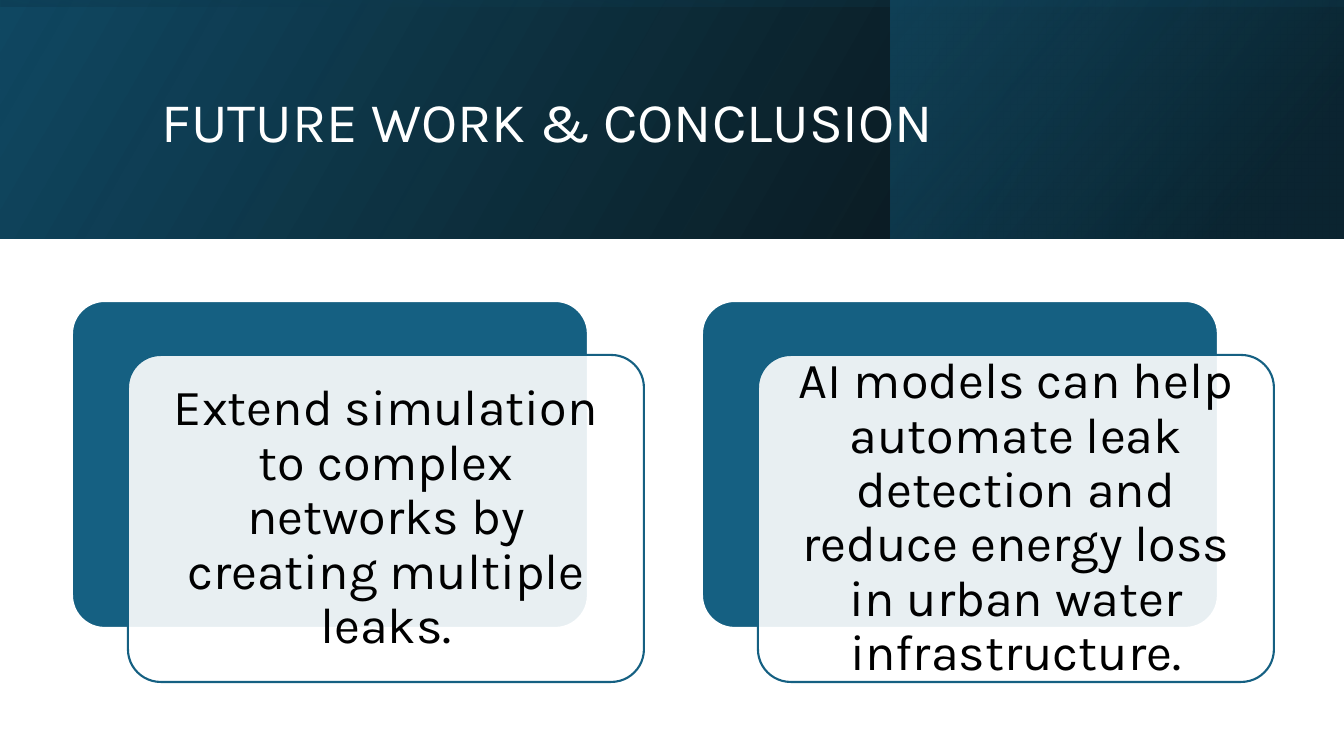
import pptx
import pptx.util
import pptx.dml.color
import pptx.enum.shapes
import pptx.enum.text
import pptx.oxml
import pptx.oxml.ns

HUES = {"white": "FFFFFF", "black": "000000", "teal": "156082",
        "deep": "104862", "night": "0B3041"}
FONT = "Karla"
TITLE = "FUTURE WORK & CONCLUSION"
CARDS = [
    "Extend simulation to complex networks by creating multiple leaks.",
    "AI models can help automate leak detection and reduce energy loss in urban water infrastructure.",
]
WIDE, HIGH, BAND = 1344, 756, 239
MID = (WIDE - BAND) / 2
BANDS = [
    ((0, 0, WIDE, BAND), 0, 330, [(0, "black", 96), (100, "deep", 100)]),
    ((891, 0, 452, BAND), 0, 320, [(19, "night", 68), (100, "teal", 48)]),
    ((MID, -MID, BAND, WIDE), 270, 350, [(23, "deep", 16), (99, "black", 45)]),
]
LEFT, TOP, STEP = 72, 301, 630
CARD = (516, 327)
SHIFT = (56, 54)
INSET = 10
PX = 914400 / 100.8
RECT = pptx.enum.shapes.MSO_SHAPE.RECTANGLE
ROUND = pptx.enum.shapes.MSO_SHAPE.ROUNDED_RECTANGLE
ALIGN = pptx.enum.text.PP_ALIGN
NS = pptx.oxml.ns.nsdecls("a")


def emu(box):
    return [round(n * PX) for n in box]


def rgb(name):
    return pptx.dml.color.RGBColor.from_string(HUES[name])


def add_box(kind, box):
    shape = slide.shapes.add_shape(kind, *emu(box))
    shape.shadow.inherit = False
    return shape


def add_band(box, turn, angle, stops):
    shape = add_box(RECT, box)
    shape.rotation = turn
    shape.line.fill.background()
    props = shape.element.spPr
    props.xfrm.set("flipH", "1")
    marks = "".join(
        f'<a:gs pos="{at * 1000}"><a:srgbClr val="{HUES[hue]}">'
        f'<a:alpha val="{alpha * 1000}"/></a:srgbClr></a:gs>'
        for at, hue, alpha in stops)
    grad = pptx.oxml.parse_xml(
        f'<a:gradFill {NS} rotWithShape="1"><a:gsLst>{marks}</a:gsLst>'
        f'<a:lin ang="{angle * 60000}" scaled="0"/></a:gradFill>')
    props.prstGeom.addnext(grad)


def add_card(box, fill, line, alpha):
    shape = add_box(ROUND, box)
    shape.adjustments[0] = 0.1
    shape.fill.solid()
    shape.fill.fore_color.rgb = rgb(fill)
    shape.line.color.rgb = rgb(line)
    shape.line.width = pptx.util.Pt(1.5)
    tint = shape.element.spPr.find(".//" + pptx.oxml.ns.qn("a:srgbClr"))
    tint.append(pptx.oxml.parse_xml(f'<a:alpha {NS} val="{alpha * 1000}"/>'))


def add_text(box, words, size, hue, align, pad):
    frame = slide.shapes.add_textbox(*emu(box)).text_frame
    look = {"word_wrap": True,
            "vertical_anchor": pptx.enum.text.MSO_ANCHOR.MIDDLE}
    for side, gap in zip(("left", "top", "right", "bottom"), pad):
        look["margin_" + side] = round(gap * PX)
    para = frame.paragraphs[0]
    run = para.add_run()
    run.text = words
    run.font.color.rgb = rgb(hue)
    for item, values in (
            (frame, look),
            (para, {"alignment": align, "line_spacing": 0.9}),
            (run.font, {"name": FONT, "size": pptx.util.Pt(size)})):
        for key, value in values.items():
            setattr(item, key, value)


deck = pptx.Presentation()
deck.slide_width, deck.slide_height = emu((WIDE, HIGH))
slide = deck.slides.add_slide(deck.slide_layouts[6])

for band in BANDS:
    add_band(*band)
add_text((152, 38, 1072, 173), TITLE, 40, "white", ALIGN.LEFT, (10, 5, 10, 5))

for i, words in enumerate(CARDS):
    x, y = LEFT + i * STEP, TOP
    add_card((x, y, *CARD), "teal", "white", 100)
    x, y = x + SHIFT[0], y + SHIFT[1]
    add_card((x, y, *CARD), "white", "teal", 90)
    inner = (x + INSET, y + INSET, *(n - 2 * INSET for n in CARD))
    add_text(inner, words, 36, "black", ALIGN.CENTER, (15, 15, 15, 15))

deck.save("out.pptx")
